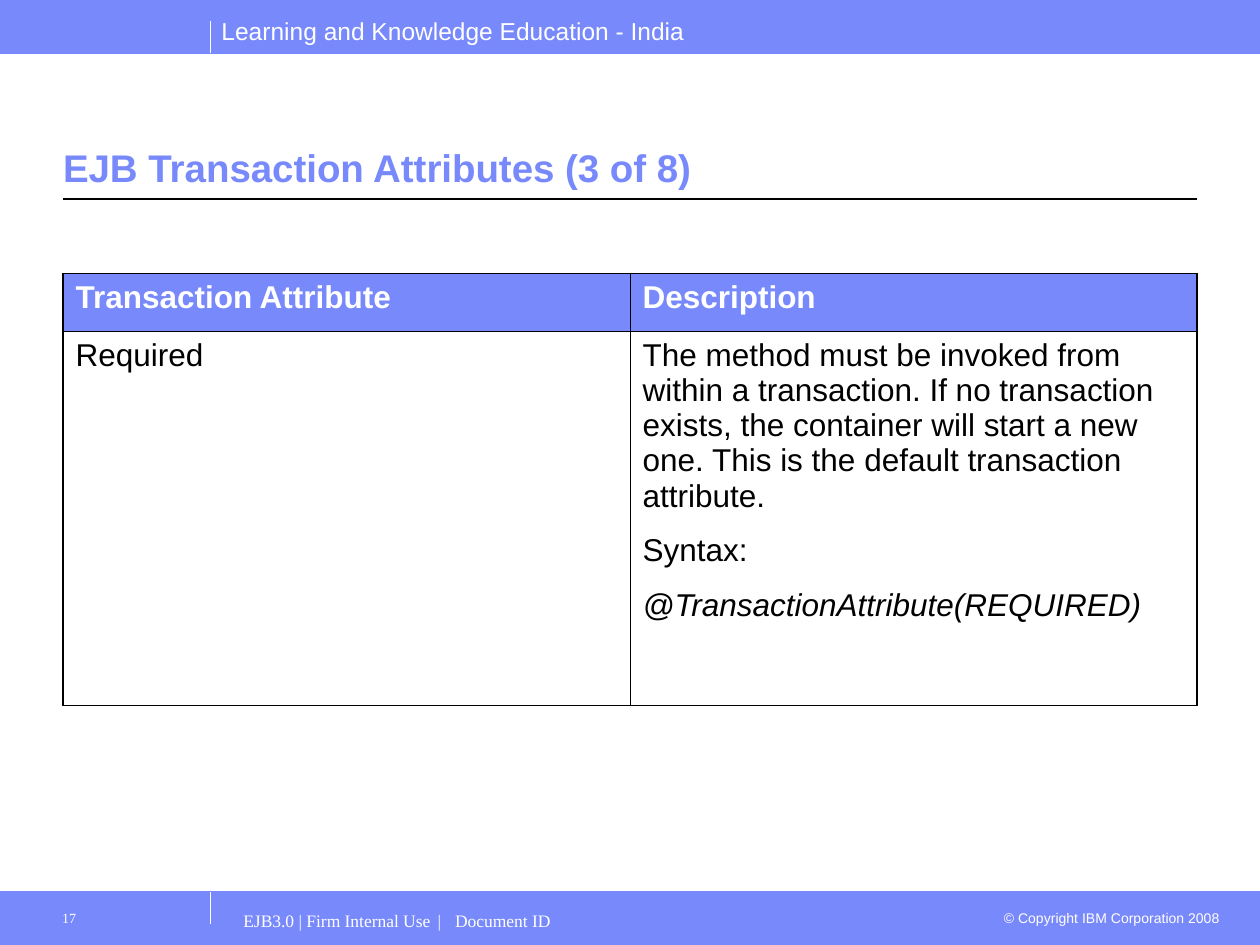
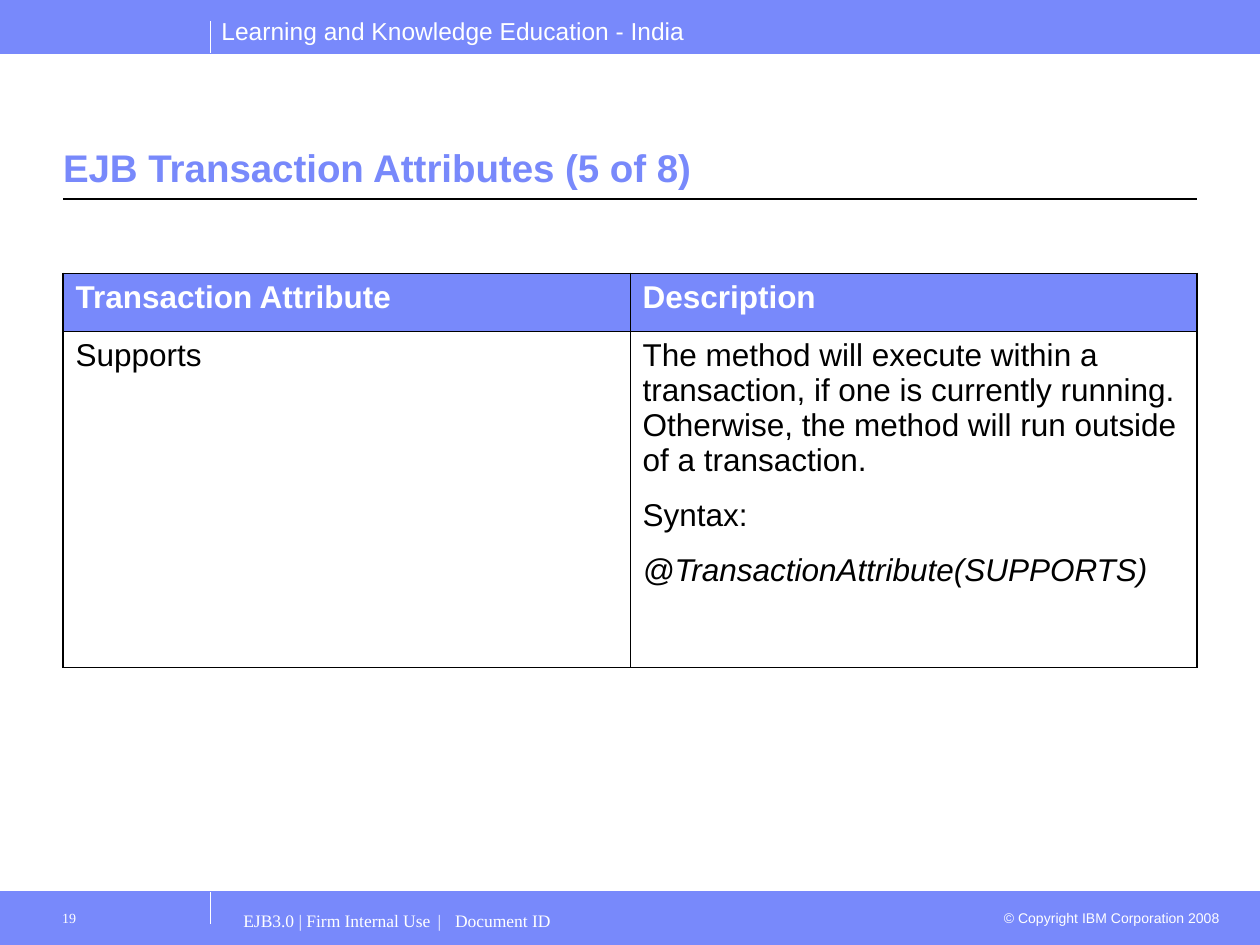
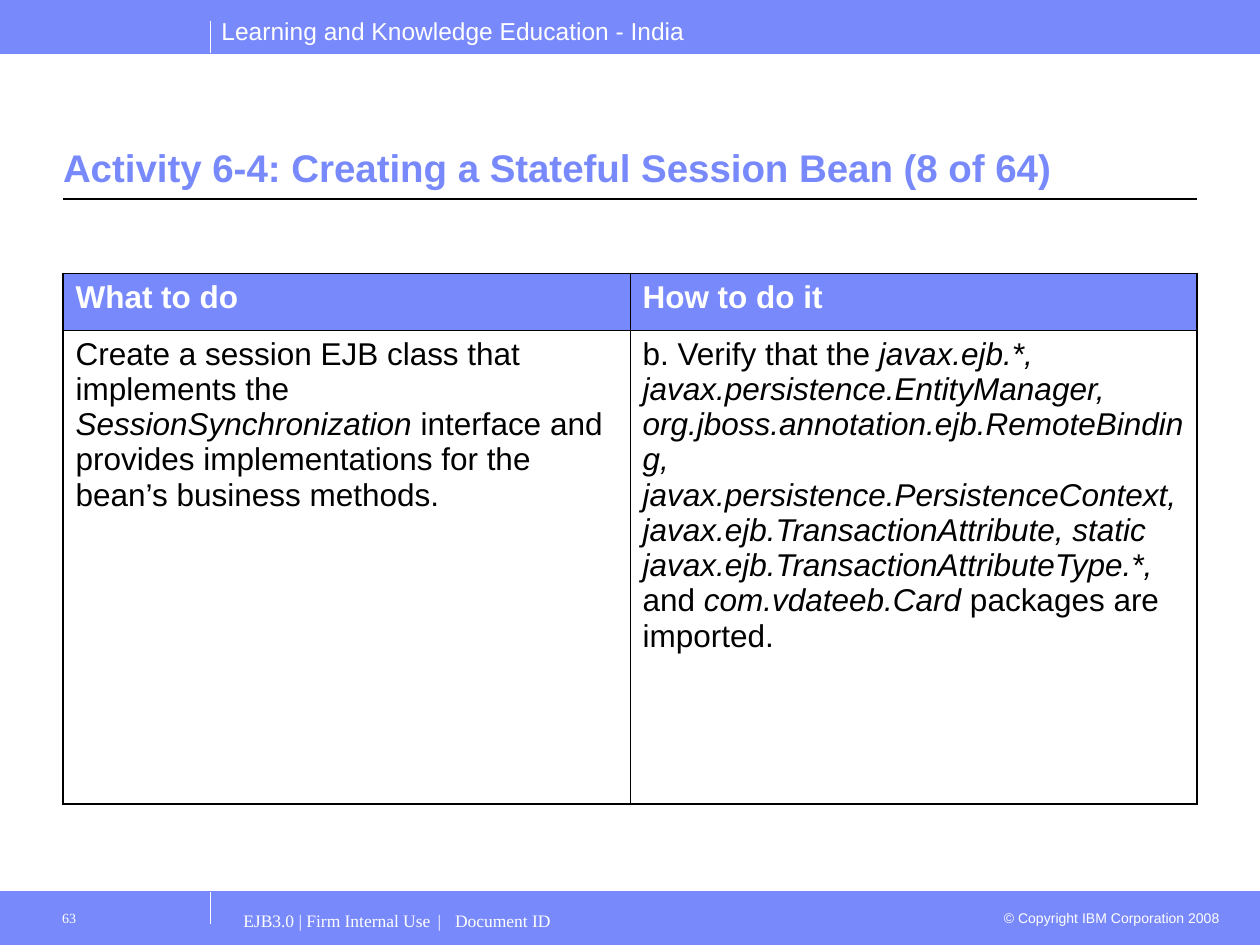
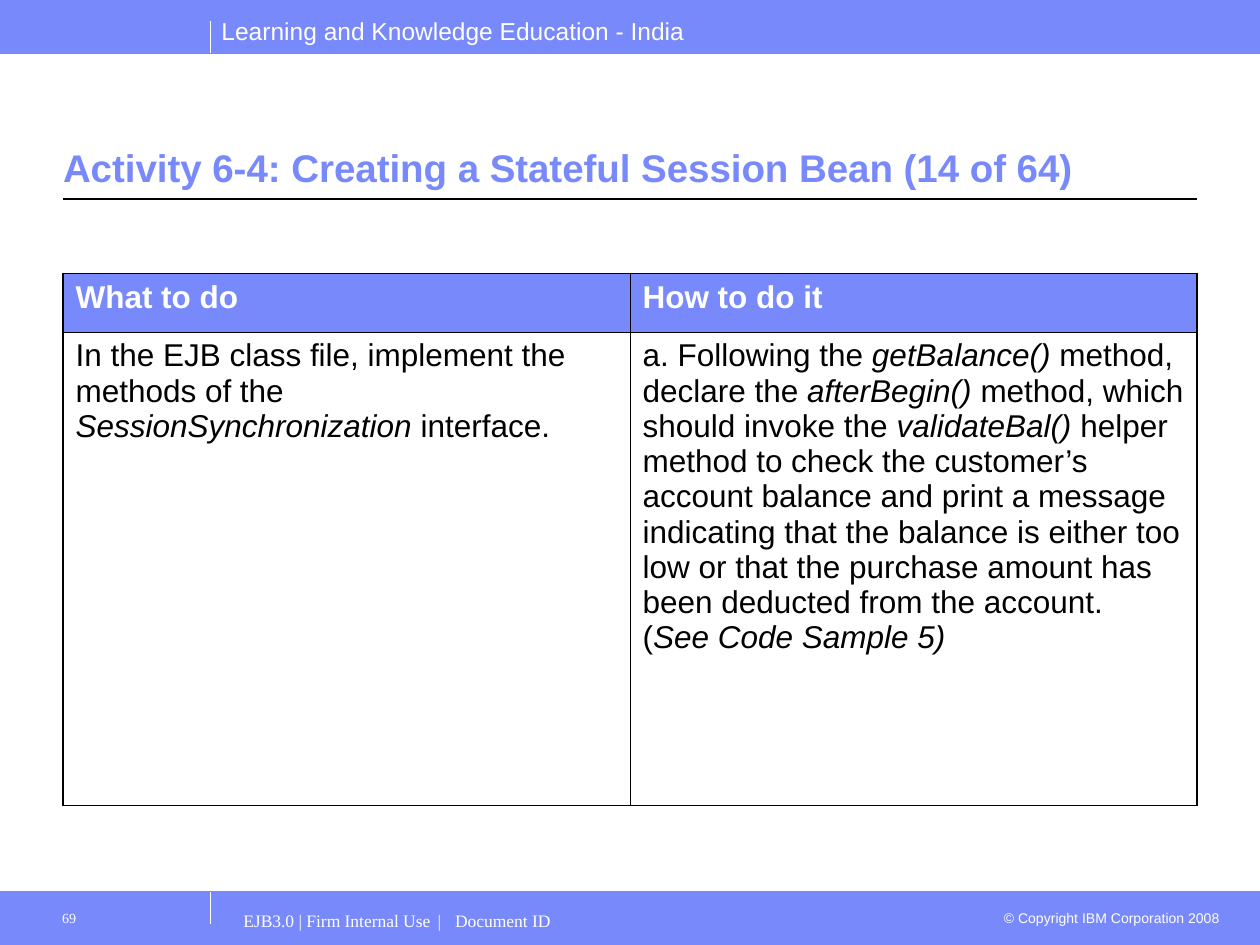
from collections import namedtuple
from dataclasses import dataclass

from lxml.etree import SubElement
from pptx import Presentation
from pptx.dml.color import RGBColor
from pptx.enum.shapes import MSO_CONNECTOR, MSO_SHAPE
from pptx.enum.text import MSO_ANCHOR, MSO_AUTO_SIZE, PP_ALIGN
from pptx.oxml import parse_xml
from pptx.oxml.ns import nsdecls, qn
from pptx.util import Pt

Box = namedtuple("Box", "left top width height")


@dataclass(frozen=True)
class Theme:
    accent: str = "7889FB"
    light: str = "FFFFFF"
    dark: str = "000000"
    sans: str = "Arial"
    serif: str = "Times New Roman"
    title_size: float = 22
    table_size: float = 18
    header_size: float = 14
    footer_size: float = 10
    small_size: float = 8
    outer_border: float = 1.08
    inner_border: float = 0.45
    paragraph_gap: float = 11.2


THEME = Theme()

# Regions of every slide, in points
PAGE = Box(0, 0, 720, 540)
TOP_BAND = Box(0, 0, 720, 30.24)
BOTTOM_BAND = Box(0, 509.76, 720, 30.24)
TITLE_BOX = Box(36, 46.08, 648, 66.24)
TABLE_LEFT, TABLE_TOP, TABLE_WIDTH = 36, 156.24, 648
DIVIDER_LEFT, DIVIDER_LENGTH = 120.24, 18

ATTRIBUTE_HEADS = ("Transaction Attribute", "Description")
ACTIVITY_HEADS = ("What to do", "How to do it")

# Underscores enclose italic words; each cell is a list of paragraphs
SLIDES = [
    {
        "number": "17",
        "title": "EJB Transaction Attributes (3 of 8)",
        "heads": ATTRIBUTE_HEADS,
        "cells": (
            ["Required"],
            ["The method must be invoked from within a transaction. If no "
             "transaction exists, the container will start a new one. This is "
             "the default transaction attribute.",
             "Syntax:",
             "_@TransactionAttribute(REQUIRED)_"],
        ),
        "row_heights": (33, 213.84),
    },
    {
        "number": "19",
        "title": "EJB Transaction Attributes (5 of 8)",
        "heads": ATTRIBUTE_HEADS,
        "cells": (
            ["Supports"],
            ["The method will execute within a transaction, if one is currently "
             "running. Otherwise, the method will run outside of a transaction.",
             "Syntax:",
             "_@TransactionAttribute(SUPPORTS)_"],
        ),
        "row_heights": (33, 192.24),
    },
    {
        "number": "63",
        "title": "Activity 6-4: Creating a Stateful Session Bean (8 of 64)",
        "heads": ACTIVITY_HEADS,
        "cells": (
            ["Create a session EJB class that implements the "
             "_SessionSynchronization_ interface and provides implementations "
             "for the bean’s business methods."],
            ["b. Verify that the _javax.ejb.*, javax.persistence.EntityManager, "
             "org.jboss.annotation.ejb.RemoteBinding, "
             "javax.persistence.PersistenceContext, "
             "javax.ejb.TransactionAttribute, static "
             "javax.ejb.TransactionAttributeType.*, _and_ com.vdateeb.Card_ "
             "packages are imported."],
        ),
        "row_heights": (32.4, 270.72),
    },
    {
        "number": "69",
        "title": "Activity 6-4: Creating a Stateful Session Bean (14 of 64)",
        "heads": ACTIVITY_HEADS,
        "cells": (
            ["In the EJB class file, implement the methods of the "
             "_SessionSynchronization _interface."],
            ["a. Following the _getBalance()_ method, declare the "
             "_afterBegin() _method, which should invoke the _validateBal()_ "
             "helper method to check the customer’s account balance and print a "
             "message indicating that the balance is either too low or that the "
             "purchase amount has been deducted from the account.\n"
             "(_See Code Sample 5)_"],
        ),
        "row_heights": (33.4, 270.72),
    },
]


# Formatting helpers
def apply(target, values):
    for name, value in values.items():
        setattr(target, name, value)


def format_font(font, name, size, color, bold=False):
    apply(font, {"name": name, "size": Pt(size), "bold": bold})
    font.color.rgb = RGBColor.from_string(color)


def points(box):
    return [Pt(value) for value in box]


def format_frame(frame, left=7.2, top=3.6, right=7.2, wrap=True, anchor=MSO_ANCHOR.TOP):
    apply(frame, {
        "margin_left": Pt(left), "margin_top": Pt(top),
        "margin_right": Pt(right), "margin_bottom": Pt(3.6),
        "word_wrap": wrap, "vertical_anchor": anchor,
        "auto_size": MSO_AUTO_SIZE.NONE,
    })


def add_label(slide, box, text, font, size, align=PP_ALIGN.LEFT, tabs=(), **frame_format):
    label = slide.shapes.add_textbox(*points(box))
    format_frame(label.text_frame, **frame_format)
    paragraph = label.text_frame.paragraphs[0]
    if tabs:
        tab_list = SubElement(paragraph._p.get_or_add_pPr(), qn("a:tabLst"))
        for position in tabs:
            SubElement(tab_list, qn("a:tab"), pos=str(Pt(position)), algn="l")
    paragraph.text = text
    paragraph.alignment = align
    for run in paragraph.runs:
        format_font(run.font, font, size, THEME.light)
    return label


def add_line(slide, start, end, color, width):
    line = slide.shapes.add_connector(MSO_CONNECTOR.STRAIGHT, *points(start + end))
    line.line.color.rgb = RGBColor.from_string(color)
    line.line.width = Pt(width)
    SubElement(line.element.spPr, qn("a:effectLst"))
    return line


# Shared bands and rules
def add_band(slide, box, edge):
    band = slide.shapes.add_shape(MSO_SHAPE.RECTANGLE, *points(box))
    band.shadow.inherit = False
    band.fill.solid()
    band.fill.fore_color.rgb = band.line.color.rgb = RGBColor.from_string(THEME.accent)
    band.line.width = Pt(0.75)
    edge_line = add_line(slide, (box.left, edge), (box.left + box.width, edge),
                         THEME.accent, 0.5)
    return [band, edge_line]


def add_divider(slide, top):
    return add_line(slide, (DIVIDER_LEFT, top + DIVIDER_LENGTH), (DIVIDER_LEFT, top),
                    THEME.light, 0.75)


def add_header(slide, box):
    bottom = box.top + box.height
    return add_band(slide, box, bottom) + [
        add_divider(slide, bottom - DIVIDER_LENGTH),
        add_label(slide, Box(box.left + 119.5, box.top + 5.76, 278.64, 24.48),
                  "Learning and Knowledge Education - India",
                  THEME.sans, THEME.header_size, wrap=False),
    ]


def add_footer(slide, box):
    return add_band(slide, box, box.top) + [
        add_divider(slide, box.top),
        add_label(slide, Box(box.left + 563.76, box.top + 6.48, 140.4, 17.28),
                  "© Copyright IBM Corporation 2008",
                  THEME.sans, THEME.small_size, PP_ALIGN.RIGHT),
    ]


def build_layout(layout, slide):
    """Move the shared parts from the slide on which they are drawn to its layout."""
    rule_top = TITLE_BOX.top + TITLE_BOX.height + 1.44
    rule = add_line(slide, (TITLE_BOX.left, rule_top),
                    (TITLE_BOX.left + TITLE_BOX.width, rule_top), THEME.dark, 0.75)
    for part in add_footer(slide, BOTTOM_BAND) + add_header(slide, TOP_BAND) + [rule]:
        layout.shapes.element.append(part.element)


# Slide regions
def fill_title(slide, box, text):
    title = slide.shapes.title
    apply(title, dict(zip(box._fields, points(box))))
    format_frame(title.text_frame, left=0, right=0, anchor=MSO_ANCHOR.BOTTOM)
    title.text_frame.text = text
    paragraph = title.text_frame.paragraphs[0]
    paragraph.alignment = PP_ALIGN.LEFT
    format_font(paragraph.runs[0].font, THEME.sans, THEME.title_size, THEME.accent, True)


def write_marked_text(paragraph, text, color, bold):
    for part_index, part in enumerate(text.split("_")):
        for line_index, line in enumerate(part.split("\n")):
            if line_index:
                paragraph.add_line_break()
            if line:
                run = paragraph.add_run()
                run.text = line
                format_font(run.font, THEME.sans, THEME.table_size, color, bold)
                run.font.italic = part_index % 2 == 1


def set_borders(cell, widths):
    properties = cell._tc.get_or_add_tcPr()
    for index, (side, width) in enumerate(widths.items()):
        properties.insert(index, parse_xml(
            f'<a:ln{side} {nsdecls("a")} w="{Pt(width)}"><a:solidFill>'
            f'<a:srgbClr val="{THEME.dark}"/></a:solidFill></a:ln{side}>'))


def fill_cell(cell, paragraphs, is_head):
    if is_head:
        cell.fill.solid()
        cell.fill.fore_color.rgb = RGBColor.from_string(THEME.accent)
    else:
        cell.fill.background()
    frame = cell.text_frame
    for index, text in enumerate(paragraphs):
        paragraph = frame.add_paragraph() if index else frame.paragraphs[0]
        paragraph.space_after = Pt(THEME.paragraph_gap)
        write_marked_text(paragraph, text, THEME.light if is_head else THEME.dark, is_head)


def add_two_column_table(slide, box, heads, cells, row_heights):
    table = slide.shapes.add_table(2, 2, *points(box)).table
    apply(table, {"first_row": False, "horz_banding": False})
    for column in table.columns:
        column.width = Pt(box.width / 2)
    rows = ([[head] for head in heads], cells)
    for row_index, row in enumerate(rows):
        table.rows[row_index].height = Pt(row_heights[row_index])
        for column_index, paragraphs in enumerate(row):
            cell = table.cell(row_index, column_index)
            fill_cell(cell, paragraphs, is_head=row_index == 0)
            outer = {"L": column_index == 0, "R": column_index == 1,
                     "T": row_index == 0, "B": row_index == 1}
            set_borders(cell, {side: THEME.outer_border if is_outer else THEME.inner_border
                               for side, is_outer in outer.items()})


def add_footer_texts(slide, box, number):
    top = box.top + 5.04
    add_label(slide, Box(box.left + 132, top, 432, 25.2),
              "EJB3.0 | Firm Internal Use\t|\tDocument ID",
              THEME.serif, THEME.footer_size, tabs=(111, 121), top=5.04)
    add_label(slide, Box(box.left + 24, top, 96, 25.2), number,
              THEME.serif, THEME.small_size, left=11.52, top=5.04)


def fill_table_slide(slide, content):
    fill_title(slide, TITLE_BOX, content["title"])
    heights = content["row_heights"]
    add_two_column_table(slide, Box(TABLE_LEFT, TABLE_TOP, TABLE_WIDTH, sum(heights)),
                         content["heads"], content["cells"], heights)
    add_footer_texts(slide, BOTTOM_BAND, content["number"])


def main():
    presentation = Presentation()
    presentation.slide_width, presentation.slide_height = Pt(PAGE.width), Pt(PAGE.height)
    layout = presentation.slide_layouts.get_by_name("Title Only")
    for index, content in enumerate(SLIDES):
        slide = presentation.slides.add_slide(layout)
        if index == 0:
            build_layout(layout, slide)
        fill_table_slide(slide, content)
    presentation.save("out.pptx")


if __name__ == "__main__":
    main()
